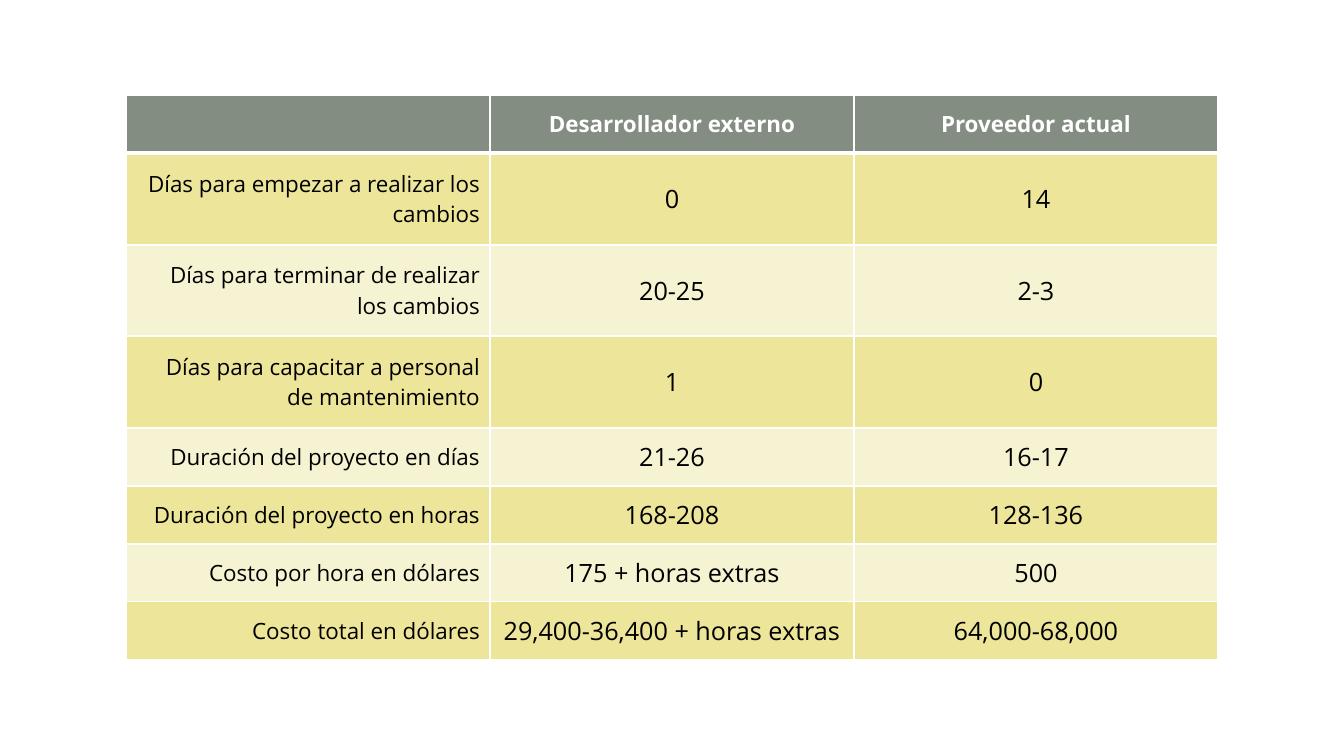
from lxml import etree
from pptx import Presentation
from pptx import util as u
from pptx.dml import color
from pptx.enum import text
from pptx.oxml import ns

PX = 914400 / 100.8
WHITE, BLACK = "FFFFFF", "000000"
HEADER, BAND_DARK, BAND_LIGHT = "848D82", "ECE59A", "F6F3D2"


def px(length):
    return u.Emu(round(length * PX))


def rgb(value):
    return color.RGBColor.from_string(value)


def write(frame, wording, font="Open Sans", size=18, ink=BLACK, bold=False,
          align=text.PP_ALIGN.CENTER):
    paragraph = frame.paragraphs[0]
    paragraph.alignment = align
    run = paragraph.add_run()
    run.text = wording
    run.font.name = font
    run.font.size = u.Pt(size)
    run.font.bold = bold
    run.font.color.rgb = rgb(ink)


class Deck:
    """Holds the border style and the current slide."""

    def __init__(self, width, height, border=WHITE):
        self.file = Presentation()
        self.file.slide_width, self.file.slide_height = px(width), px(height)
        self.slide = self.file.slides.add_slide(self.file.slide_layouts[6])
        self.border = border

    def table(self, left, top, widths, heights):
        grid = self.slide.shapes.add_table(
            len(heights), len(widths), px(left), px(top),
            px(sum(widths)), px(sum(heights))).table
        for column, width in zip(grid.columns, widths):
            column.width = px(width)
        for row, height in zip(grid.rows, heights):
            row.height = px(height)
        return grid

    def cell(self, cell, wording, fill, top=1, bottom=1, **style):
        cell.fill.solid()
        cell.fill.fore_color.rgb = rgb(fill)
        cell.vertical_anchor = text.MSO_ANCHOR.MIDDLE
        if wording:
            write(cell.text_frame, wording, **style)
        # Borders must precede the fill
        properties = cell._tc.get_or_add_tcPr()
        edges = {"lnL": 1, "lnR": 1, "lnT": top, "lnB": bottom}
        for place, (edge, points) in enumerate(edges.items()):
            line = etree.Element(ns.qn("a:" + edge), w=str(u.Pt(points)))
            paint = etree.SubElement(line, ns.qn("a:solidFill"))
            etree.SubElement(paint, ns.qn("a:srgbClr"), val=self.border)
            properties.insert(place, line)


# Content
options = ["", "Desarrollador externo", "Proveedor actual"]
criteria = [
    ("Días para empezar a realizar los cambios", "0", "14"),
    ("Días para terminar de realizar los cambios", "20-25", "2-3"),
    ("Días para capacitar a personal de mantenimiento", "1", "0"),
    ("Duración del proyecto en días", "21-26", "16-17"),
    ("Duración del proyecto en horas", "168-208", "128-136"),
    ("Costo por hora en dólares", "175 + horas extras", "500"),
    ("Costo total en dólares", "29,400-36,400 + horas extras", "64,000-68,000"),
]

deck = Deck(1344, 756)
comparison = deck.table(126, 95, [364] * 3, [58, 92, 91, 92] + [58] * 4)

# Header row
for c, option in enumerate(options):
    deck.cell(comparison.cell(0, c), option, HEADER, bottom=3,
              size=16, ink=WHITE, bold=True)

# Banded criteria rows
for r, criterion in enumerate(criteria, start=1):
    band = BAND_DARK if r % 2 else BAND_LIGHT
    rule = 3 if r == 1 else 1
    label, *values = criterion
    deck.cell(comparison.cell(r, 0), label, band, top=rule,
              size=16, align=text.PP_ALIGN.RIGHT)
    for c, value in enumerate(values, start=1):
        deck.cell(comparison.cell(r, c), value, band, top=rule)

deck.file.save("out.pptx")
